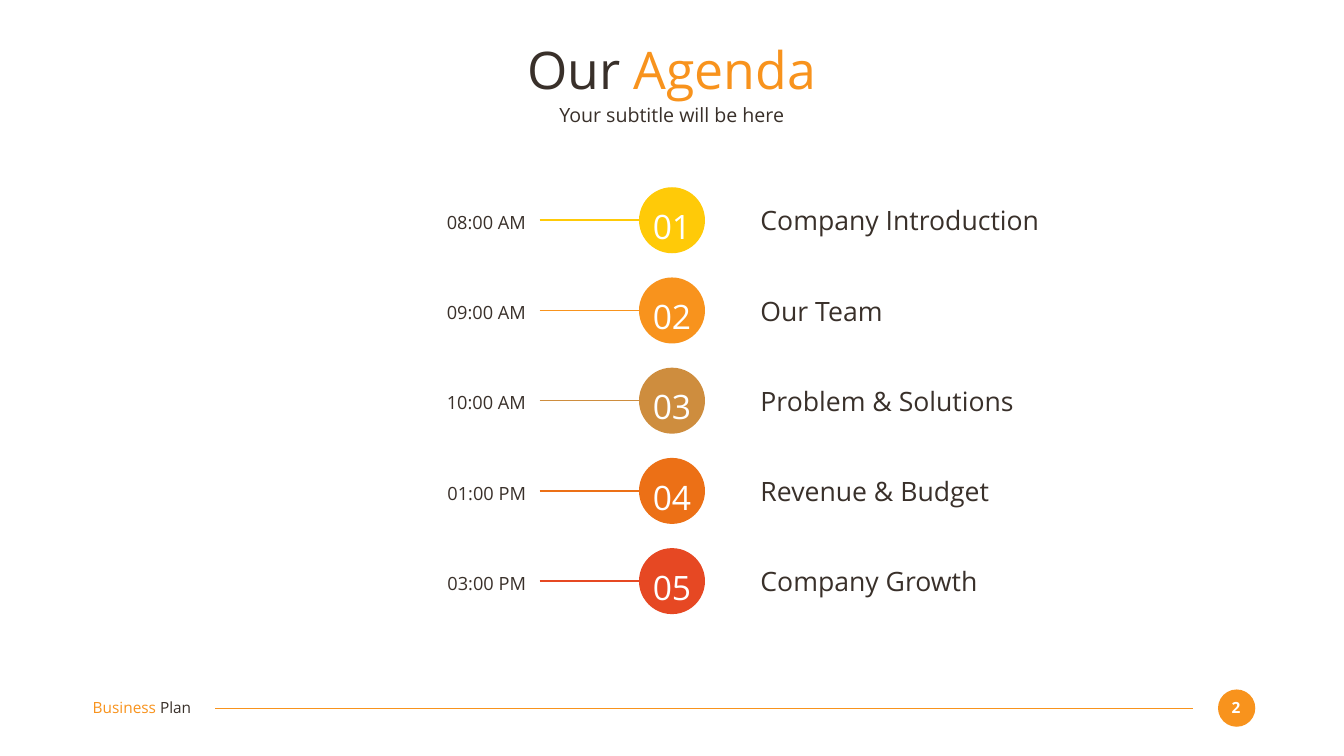
from lxml import etree
from pptx import Presentation
from pptx.dml.color import RGBColor
from pptx.enum.shapes import MSO_CONNECTOR as CONNECTOR, MSO_SHAPE as SHAPE
from pptx.enum.text import MSO_ANCHOR as ANCHOR, PP_ALIGN as ALIGN
from pptx.oxml.ns import qn
from pptx.util import Inches, Pt

FONT = "Open Sans"
COLORS = {
    "text": "39302A", "white": "FFFFFF", "yellow": "FFCA08", "orange": "F8931D",
    "tan": "CE8D3E", "deep_orange": "EC7016", "red": "E64823",
}
AGENDA = [
    ("08:00 AM", "Company Introduction", "yellow"),
    ("09:00 AM", "Our Team", "orange"),
    ("10:00 AM", "Problem & Solutions", "tan"),
    ("01:00 PM", "Revenue & Budget", "deep_orange"),
    ("03:00 PM", "Company Growth", "red"),
]
FIRST_ROW, ROW_PITCH = 4.37, 1.79  # centre of the first row, row spacing
CIRCLE = 1.31


def rgb(color):
    return RGBColor.from_string(COLORS[color])


def write(box, runs, size, align=ALIGN.LEFT, spacing=None, bold=False):
    """Fill a text frame with (text, color) runs in one paragraph."""
    frame = box.text_frame
    frame.word_wrap = True
    frame.vertical_anchor = ANCHOR.MIDDLE
    frame.margin_left = frame.margin_right = 0
    frame.margin_top = frame.margin_bottom = 0
    paragraph = frame.paragraphs[0]
    paragraph.alignment = align
    if spacing:
        paragraph.line_spacing = spacing
    for text, color in runs:
        run = paragraph.add_run()
        run.text = text
        run.font.name = FONT
        run.font.size = Pt(size)
        run.font.bold = bold
        run.font.color.rgb = rgb(color)


def add_text(slide, left, top, width, height, runs, size, **style):
    box = slide.shapes.add_textbox(
        Inches(left), Inches(top), Inches(width), Inches(height))
    write(box, runs, size, **style)


def add_circle(slide, left, top, size, color):
    circle = slide.shapes.add_shape(
        SHAPE.OVAL, Inches(left), Inches(top), Inches(size), Inches(size))
    circle.shadow.inherit = False
    circle.fill.solid()
    circle.fill.fore_color.rgb = rgb(color)
    circle.line.fill.background()


def add_rule(slide, start, end, y, color, weight):
    rule = slide.shapes.add_connector(
        CONNECTOR.STRAIGHT, Inches(start), Inches(y), Inches(end), Inches(y))
    rule.line.color.rgb = rgb(color)
    rule.line.width = Pt(weight)
    etree.SubElement(rule._element.spPr, qn("a:effectLst"))


def add_heading(slide):
    title = slide.shapes.title
    title.left, title.top = Inches(1.83), Inches(0.73)
    title.width, title.height = Inches(23), Inches(1.27)
    write(title, [("Our ", "text"), ("Agenda", "orange")], 74, align=ALIGN.CENTER)
    add_text(slide, 1.83, 2.03, 23, 0.49,
             [("Your subtitle will be here", "text")], 28, align=ALIGN.CENTER)


def add_agenda_row(slide, number, time, topic, color):
    middle = FIRST_ROW + (number - 1) * ROW_PITCH
    add_circle(slide, 12.68, middle - CIRCLE / 2, CIRCLE, color)
    add_rule(slide, 10.71, 12.68, middle, color, 2.25)
    add_text(slide, 12.82, middle - 0.45, 1.03, 0.97,
             [(f"{number:02}", "white")], 48, align=ALIGN.CENTER, spacing=1.2)
    add_text(slide, 6.9, middle - 0.29, 3.54, 0.53,
             [(time, "text")], 26, align=ALIGN.RIGHT, spacing=1.3)
    add_text(slide, 15.09, middle - 0.32, 6.29, 0.64, [(topic, "text")], 38)


def add_footer(slide):
    add_circle(slide, 24.17, 13.68, 0.74, "orange")
    add_text(slide, 24.23, 13.85, 0.59, 0.37,
             [("2", "white")], 22, align=ALIGN.CENTER, bold=True)
    add_rule(slide, 4.27, 23.67, 14.05, "orange", 1.5)
    add_text(slide, 1.84, 13.84, 2.59, 0.37,
             [("Business ", "orange"), ("Plan", "text")], 22)


def main():
    deck = Presentation()
    deck.slide_width, deck.slide_height = Inches(26.67), Inches(15)
    slide = deck.slides.add_slide(deck.slide_layouts[5])  # title only

    add_footer(slide)
    add_heading(slide)
    for number, (time, topic, color) in enumerate(AGENDA, start=1):
        add_agenda_row(slide, number, time, topic, color)

    deck.save("out.pptx")


if __name__ == "__main__":
    main()
